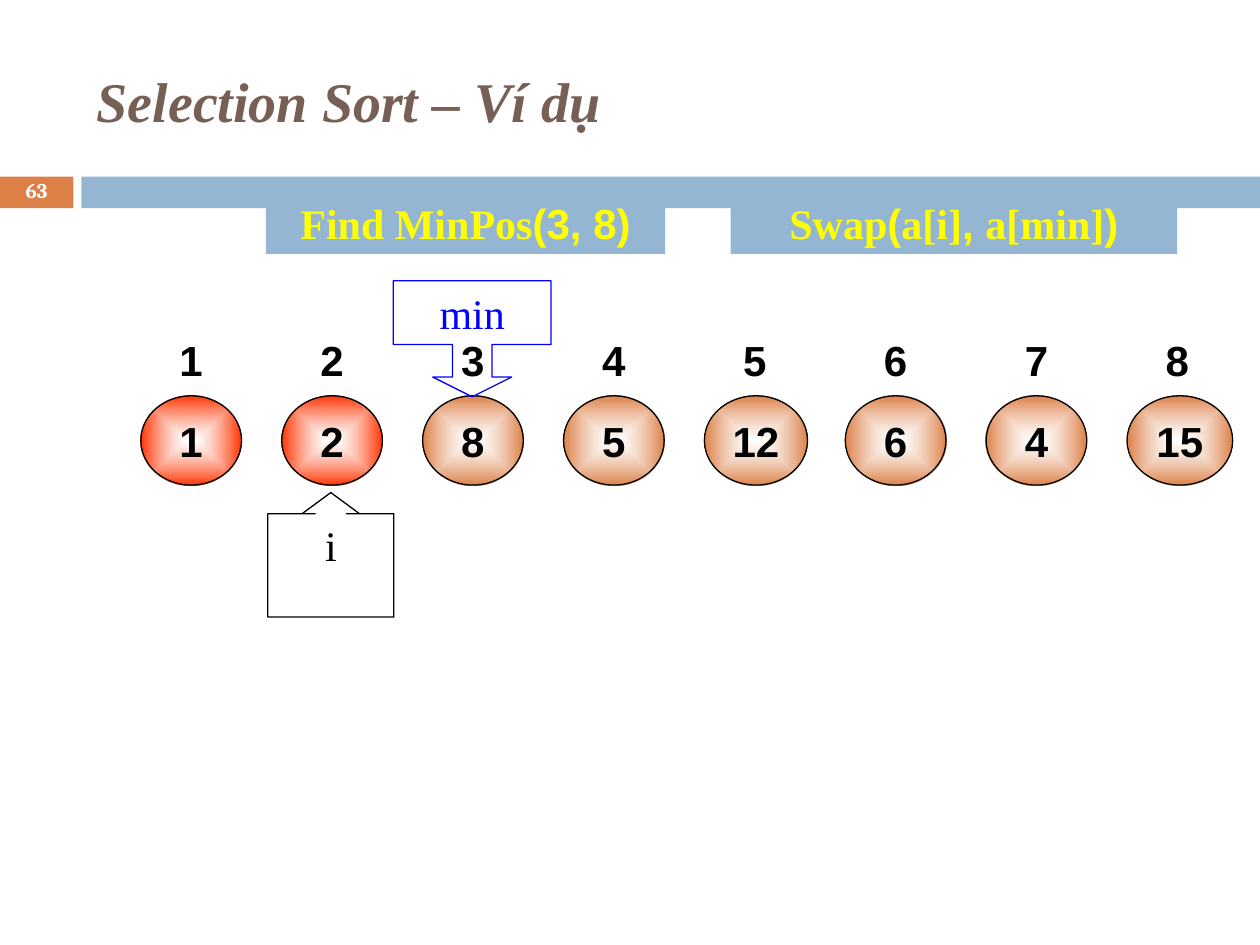
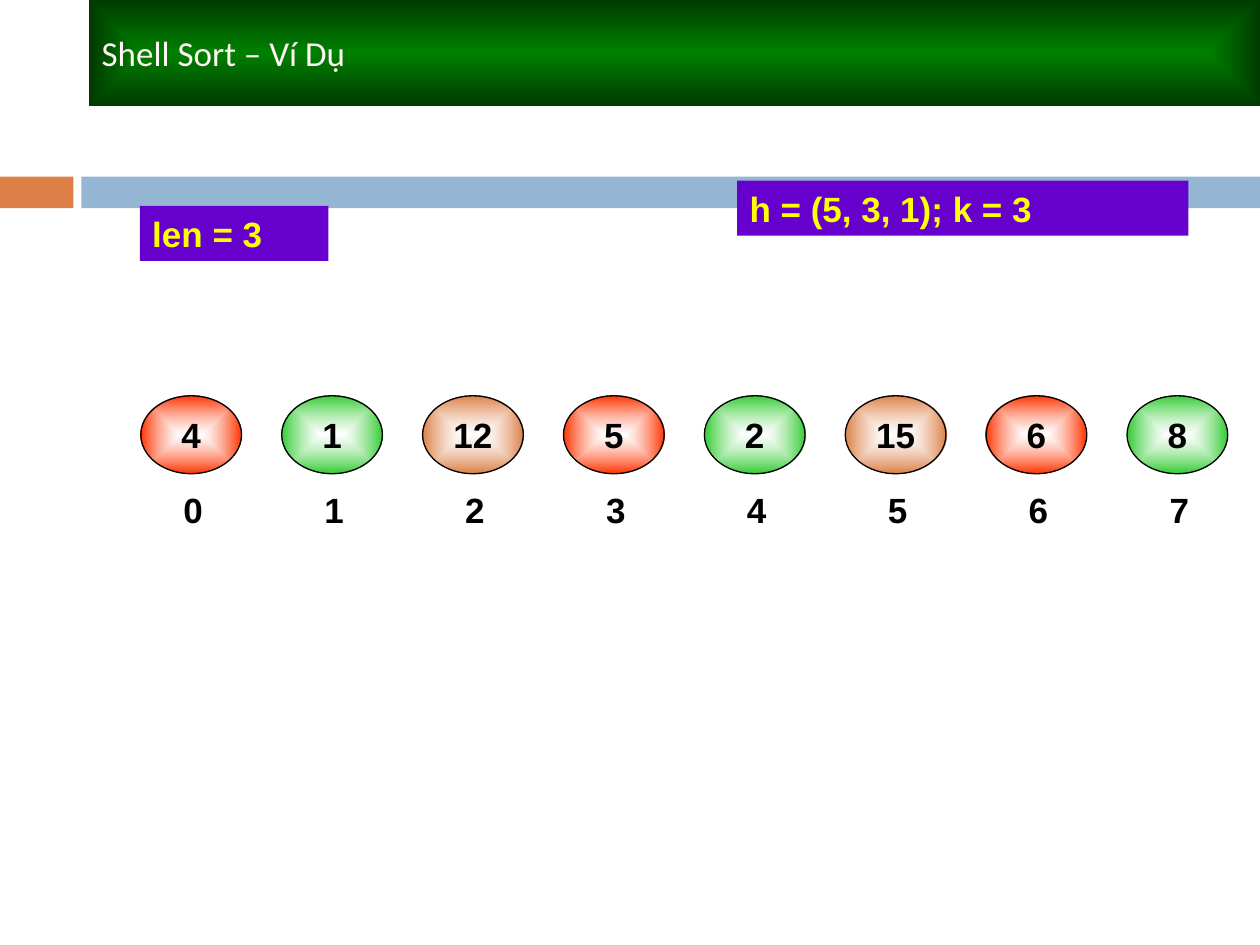
from lxml.etree import SubElement
from pptx import Presentation
from pptx.dml.color import RGBColor
from pptx.enum.shapes import MSO_SHAPE
from pptx.enum.text import MSO_ANCHOR, PP_ALIGN
from pptx.oxml.ns import qn
from pptx.util import Cm, Pt

ORANGE = RGBColor(0xDD, 0x80, 0x47)
BLUE_GREY = RGBColor(0x94, 0xB6, 0xD2)
BROWN = RGBColor(0x77, 0x5F, 0x55)
RED = RGBColor(0xFF, 0x33, 0x00)
GREEN = RGBColor(0x33, 0xCC, 0x33)
BANNER_GREEN = RGBColor(0x00, 0x80, 0x00)
BANNER_EDGE = RGBColor(0x00, 0x3B, 0x00)
BANNER_TEXT = RGBColor(0xFF, 0xF3, 0xF3)
PURPLE = RGBColor(0x66, 0x00, 0xCC)
YELLOW = RGBColor(0xFF, 0xFF, 0x00)
BLUE = RGBColor(0x00, 0x00, 0xFF)
BLACK = RGBColor(0x00, 0x00, 0x00)
WHITE = RGBColor(0xFF, 0xFF, 0xFF)

SERIF = "Times New Roman"
SANS = "Arial"
STEP = 2.84
BALL_WIDTH = 2.03
BALL_TOP = 7.98


def draw(shapes, kind, box, fill=None, line=None, centre=None, centre_alpha=None):
    shape = shapes.add_shape(kind, *[Cm(length) for length in box])
    shape.shadow.inherit = False
    if centre is not None:
        shape.fill.gradient()
        inner, outer = shape.fill.gradient_stops
        inner.color.rgb, inner.position = centre, 0
        outer.color.rgb, outer.position = fill, 1
        gradient = shape._element.spPr.find(qn("a:gradFill"))
        gradient.remove(gradient.find(qn("a:lin")))
        spread = SubElement(gradient, qn("a:path"))
        spread.set("path", "rect")
        focus = SubElement(spread, qn("a:fillToRect"))
        for side in "ltrb":
            focus.set(side, "50000")
        if centre_alpha:
            inner_colour = next(gradient.iter(qn("a:srgbClr")))
            SubElement(inner_colour, qn("a:alpha")).set("val", str(centre_alpha * 1000))
    elif fill is not None:
        shape.fill.solid()
        shape.fill.fore_color.rgb = fill
    else:
        shape.fill.background()
    if line is not None:
        shape.line.color.rgb = line
        shape.line.width = Pt(0.75)
    else:
        shape.line.fill.background()
    return shape


def write(shape, runs, size, colour, bold=True, italic=False,
          align=PP_ALIGN.CENTER, anchor=MSO_ANCHOR.MIDDLE, wrap=True):
    frame = shape.text_frame
    frame.word_wrap = wrap
    frame.vertical_anchor = anchor
    paragraph = frame.paragraphs[0]
    paragraph.alignment = align
    for text, font_name in runs:
        run = paragraph.add_run()
        run.text = text
        run.font.name = font_name
        run.font.size = Pt(size)
        run.font.bold = bold
        run.font.italic = italic
        run.font.color.rgb = colour
    return paragraph


presentation = Presentation()
presentation.slide_width = Cm(25.4)
presentation.slide_height = Cm(19.05)

sorts = [
    {"values": [1, 2, 8, 5, 12, 6, 4, 15], "colours": [RED] * 2 + [ORANGE] * 6,
     "ball_height": 1.8, "size": 24, "first_index": 1, "index_top": 6.35,
     "index_shift": 0, "widths": {12: 2.08, 15: 2.13}},
    {"values": [4, 1, 12, 5, 2, 15, 6, 8], "colours": [RED, GREEN, ORANGE] * 3,
     "ball_height": 1.57, "size": 20, "first_index": 0, "index_top": 9.48,
     "index_shift": 0.04, "widths": {}},
]

slides = []
for sort in sorts:
    slide = presentation.slides.add_slide(presentation.slide_layouts[6])
    slides.append(slide)
    draw(slide.shapes, MSO_SHAPE.RECTANGLE, (0, 3.56, 1.48, 0.64), ORANGE)
    draw(slide.shapes, MSO_SHAPE.RECTANGLE, (1.64, 3.56, 23.76, 0.64), BLUE_GREY)
    for place, (value, colour) in enumerate(zip(sort["values"], sort["colours"]), 1):
        width = sort["widths"].get(value, BALL_WIDTH)
        ball = draw(slide.shapes, MSO_SHAPE.OVAL,
                    (place * STEP, BALL_TOP, width, sort["ball_height"]),
                    colour, BLACK, WHITE, 60)
        write(ball, [(str(value), SANS)], sort["size"], BLACK, wrap=False)

selection, shell = slides

title = selection.shapes.add_textbox(Cm(1.7), Cm(0.64), Cm(22.66), Cm(2.74))
write(title, [("Selection Sort – Ví dụ", SERIF)], 32, BROWN, italic=True, align=PP_ALIGN.LEFT)
page_number = selection.shapes.add_textbox(0, Cm(3.53), Cm(1.48), Cm(0.69))
write(page_number, [("63", "Cambria")], 12, WHITE).line_spacing = 0.8

pointers = [
    ("i", MSO_SHAPE.UP_ARROW_CALLOUT, (5.4, 9.93, 2.54, 2.51),
     (0.25, 0.23, 0.17, 0.99), BLACK, MSO_ANCHOR.TOP),
    ("min", MSO_SHAPE.DOWN_ARROW_CALLOUT, (7.93, 5.66, 3.18, 2.34),
     (0.34, 0.34, 0.17, 0.55), BLUE, MSO_ANCHOR.MIDDLE),
]
for name, kind, box, proportions, colour, anchor in pointers:
    pointer = draw(selection.shapes, kind, box, line=colour)
    for position, proportion in enumerate(proportions):
        pointer.adjustments[position] = proportion
    write(pointer, [(name, SERIF)], 24, colour, bold=False, anchor=anchor)

banner = draw(shell.shapes, MSO_SHAPE.RECTANGLE, (1.8, 0, 23.6, 2.13),
              BANNER_EDGE, centre=BANNER_GREEN)
write(banner, [("Shell Sort – Ví Dụ", "Calibri")], 20, BANNER_TEXT,
      bold=False, align=PP_ALIGN.LEFT)

for slide, sort in zip(slides, sorts):
    indices = slide.shapes.add_group_shape().shapes
    for place in range(1, len(sort["values"]) + 1):
        index = draw(indices, MSO_SHAPE.OVAL,
                     (place * STEP + sort["index_shift"], sort["index_top"],
                      BALL_WIDTH, sort["ball_height"]))
        write(index, [(str(place - 1 + sort["first_index"]), SANS)],
              sort["size"], BLACK, wrap=False)

notes = [
    (selection, (5.36, 3.84, 8.05, 1.28), BLUE_GREY, 24, PP_ALIGN.CENTER,
     [("Find MinPos", SERIF), ("(3, 8)", SANS)]),
    (selection, (14.73, 3.84, 9, 1.28), BLUE_GREY, 24, PP_ALIGN.CENTER,
     [("Swap", SERIF), ("(", SANS), ("a[i]", SERIF), (", ", SANS),
      ("a[min]", SERIF), (")", SANS)]),
    (shell, (14.86, 3.64, 9.1, 1.11), PURPLE, 20, PP_ALIGN.LEFT,
     [("h = (5, 3, 1); k = 3", SANS)]),
    (shell, (2.82, 4.15, 3.8, 1.11), PURPLE, 20, PP_ALIGN.LEFT, [("len = 3", SANS)]),
]
for slide, box, fill, size, align, runs in notes:
    note = draw(slide.shapes, MSO_SHAPE.RECTANGLE, box, fill)
    write(note, runs, size, YELLOW, align=align)

presentation.save("out.pptx")
